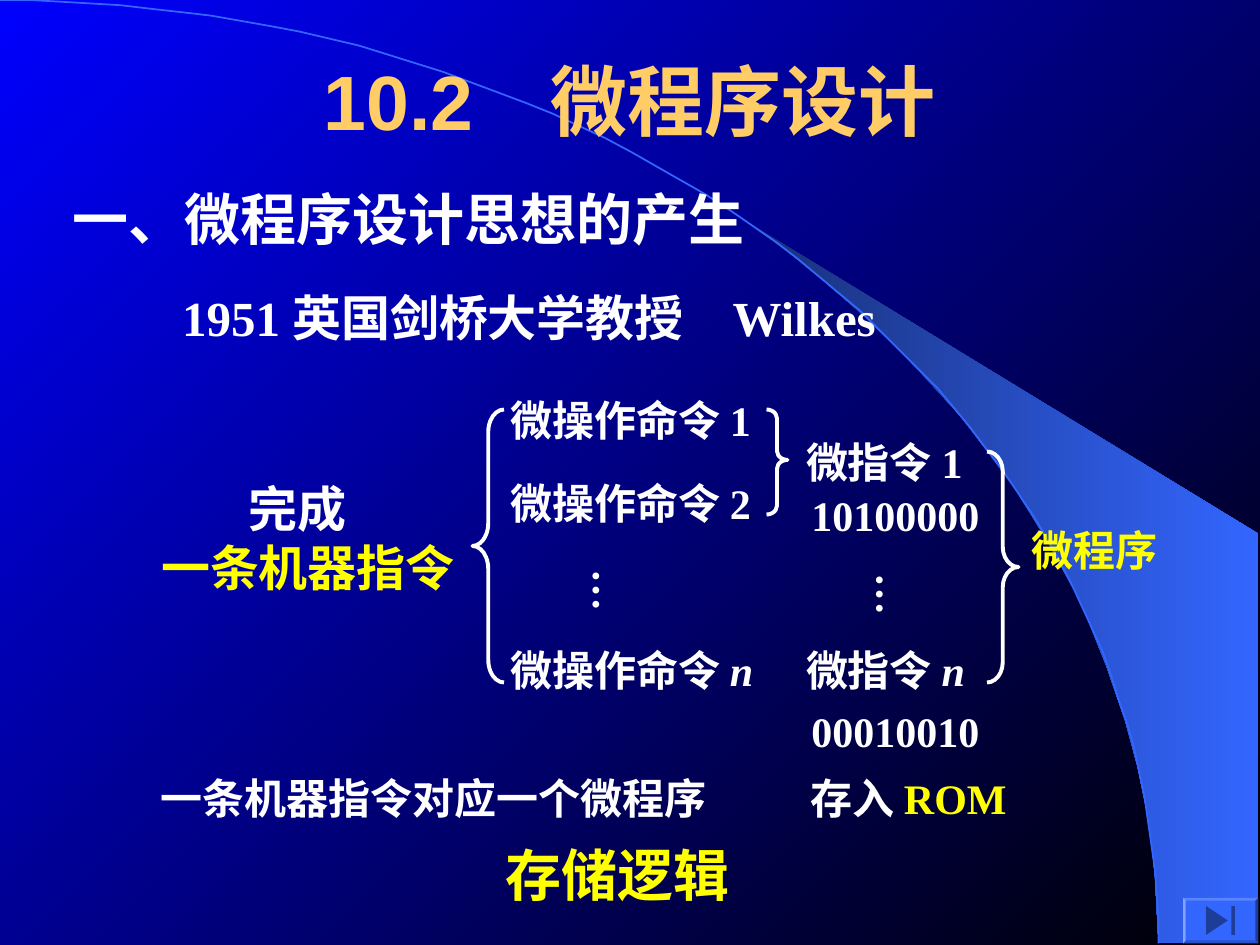
from math import cos, pi, sin
from pptx import Presentation
from pptx.dml.color import RGBColor
from pptx.enum.shapes import MSO_SHAPE
from pptx.enum.text import MSO_ANCHOR, PP_ALIGN
from pptx.util import Pt

HUE = {"white": "FFFFFF", "yellow": "FFFF00", "gold": "FFCC66",
       "blue": "3366FF", "navy": "182F76", "deep": "0000FF", "black": "000000"}
WIDE, HIGH = 720, 540
SERIF = "Times New Roman"

# Title: text, left, top, width, height
TITLE = ("10.2　微程序设计", 54, 12, 612, 90)

# Text: left, top, width, size, paragraphs of (words, colour, italic)
W, Y = "white", "yellow"
TEXTS = [
    (34.5, 102, 481, 32, [[("一、微程序设计思想的产生", W, False)]]),
    (97, 161, 430, 28, [[("1951 英国剑桥大学教授　Wilkes", W, False)]]),
    (85, 270, 192, 28, [[("完成", W, False)], [("一条机器指令", Y, False)]]),
    (284.5, 222, 168, 24, [[("微操作命令 1", W, False)]]),
    (284.5, 269.5, 168, 24, [[("微操作命令 2", W, False)]]),
    (284.5, 365, 168, 24, [[("微操作命令 ", W, False), ("n", W, True)]]),
    (453.5, 246, 120, 24, [[("微指令 1", W, False)]]),
    (456.5, 276, 120, 24, [[("10100000", W, False)]]),
    (453.5, 365, 120, 24, [[("微指令 ", W, False), ("n", W, True)]]),
    (456.5, 399.5, 120, 24, [[("00010010", W, False)]]),
    (582.5, 296, 96, 24, [[("微程序", Y, False)]]),
    (84.5, 438, 336, 24, [[("一条机器指令对应一个微程序", W, False)]]),
    (456, 438, 144, 24, [[("存入 ", W, False), ("ROM", Y, False)]]),
    (282, 476.5, 253, 32, [[("存储逻辑", Y, False)]]),
]
INDENT = 50  # moves 完成 over the middle of the line below

# Vertical dots: left, top
DOTS = [(323.5, 318), (485.5, 320.5)]

# Braces: shape, left, top, width, height, curve, tip
BRACES = [
    (MSO_SHAPE.LEFT_BRACE, 270, 234, 18, 156, 0.72, 0.5),
    (MSO_SHAPE.RIGHT_BRACE, 438, 234, 12, 60, 0.42, 0.48),
    (MSO_SHAPE.RIGHT_BRACE, 564, 258, 18, 132, 0.64, 0.5),
]

# Lit wedge behind the arc
WEDGE = [(662, 539), (719, 539), (719, 305), (424, 125), (449, 143),
         (470, 160), (493, 180), (516, 202), (549, 238), (578, 276),
         (599, 310), (618, 345), (632, 380), (643, 412), (650, 438),
         (657, 472), (660, 501)]
ARC = (662, 539)  # radii of the quarter ellipse
BUTTON = (676, 513, 43, 26)


def rgb(name):
    return RGBColor.from_string(HUE[name])


def blend(fill, start, end, angle):
    fill.gradient()
    fill.gradient_angle = angle
    for stop, name, pos in zip(fill.gradient_stops, (start, end), (0, 1)):
        stop.color.rgb = rgb(name)
        stop.position = pos


def outline(slide, dots, close):
    pen = slide.shapes.build_freeform(*dots[0], scale=Pt(1))
    pen.add_line_segments(dots[1:], close=close)
    shape = pen.convert_to_shape()
    shape.shadow.inherit = False
    return shape


def preset(slide, kind, *box):
    shape = slide.shapes.add_shape(kind, *map(Pt, box))
    shape.shadow.inherit = False
    return shape


def write(slide, box, size, lines, font=SERIF):
    shape = slide.shapes.add_textbox(*map(Pt, box))
    frame = shape.text_frame
    frame.word_wrap = True
    for num, line in enumerate(lines):
        para = frame.add_paragraph() if num else frame.paragraphs[0]
        for words, hue, slant in line:
            run = para.add_run()
            run.text = words
            run.font.name = font
            run.font.size = Pt(size)
            run.font.bold = True
            if slant:
                run.font.italic = True
            run.font.color.rgb = rgb(hue)
    return shape


def main():
    deck = Presentation()
    deck.slide_width, deck.slide_height = Pt(WIDE), Pt(HIGH)
    slide = deck.slides.add_slide(deck.slide_layouts[6])

    # Backdrop
    blend(slide.background.fill, "deep", "black", 315)
    wedge = outline(slide, WEDGE, True)
    blend(wedge.fill, "navy", "blue", 0)
    wedge.line.fill.background()
    turns = [pi / 2 * i / 60 for i in range(61)]
    arc = outline(slide, [(ARC[0] * sin(t), ARC[1] * (1 - cos(t)))
                          for t in turns], False)
    arc.fill.background()
    arc.line.color.rgb = rgb("blue")
    arc.line.width = Pt(1)

    # Title
    words, *box = TITLE
    frame = write(slide, box, 44, [[(words, "gold", False)]], "Arial").text_frame
    frame.vertical_anchor = MSO_ANCHOR.MIDDLE
    frame.paragraphs[0].alignment = PP_ALIGN.CENTER

    # Body text
    for left, top, width, size, lines in TEXTS:
        high = size * 1.2 * len(lines) + 7.2
        shape = write(slide, (left, top, width, high), size, lines)
        if len(lines) > 1:
            props = shape.text_frame.paragraphs[0]._p.get_or_add_pPr()
            props.set("marL", str(Pt(INDENT)))

    # Vertical dots
    for left, top in DOTS:
        shape = write(slide, (left, top, 43, 32), 24, [[("…", W, False)]])
        frame = shape.text_frame
        frame.margin_left = frame.margin_right = Pt(3.6)
        frame.margin_top = frame.margin_bottom = Pt(7.2)
        shape.element.txBody.bodyPr.set("vert", "eaVert")

    # Braces
    for kind, left, top, width, high, curve, tip in BRACES:
        brace = preset(slide, kind, left, top, width, high)
        brace.adjustments[0], brace.adjustments[1] = curve, tip
        brace.fill.background()
        brace.line.color.rgb = rgb("white")
        brace.line.width = Pt(2.25)

    # Button with bevelled edge
    for kind, trim in ((MSO_SHAPE.BEVEL, 0), (MSO_SHAPE.ACTION_BUTTON_END, 2)):
        left, top, width, high = BUTTON
        key = preset(slide, kind, left + trim, top + trim,
                     width - 2 * trim, high - 2 * trim)
        if not trim:
            key.adjustments[0] = 0.06
        key.fill.solid()
        key.fill.fore_color.rgb = rgb("blue")
        key.line.fill.background()

    deck.save("out.pptx")


if __name__ == "__main__":
    main()
